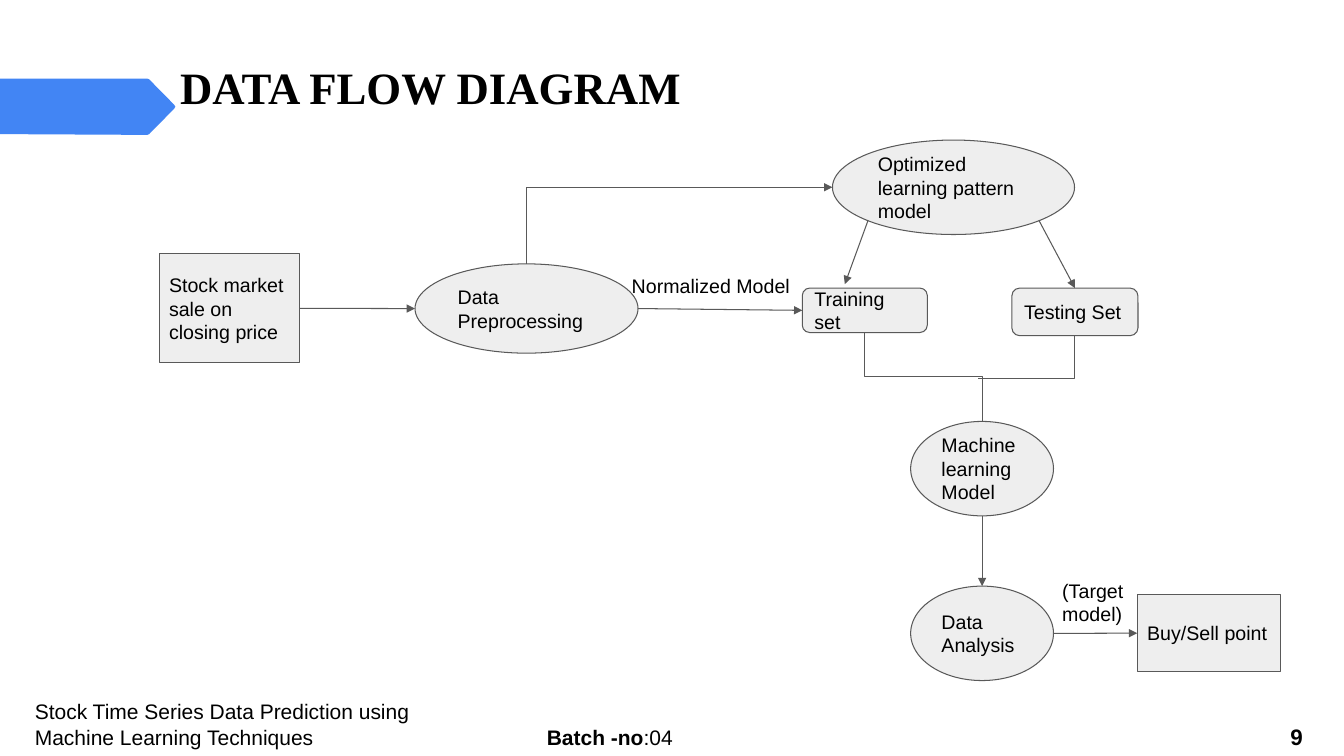
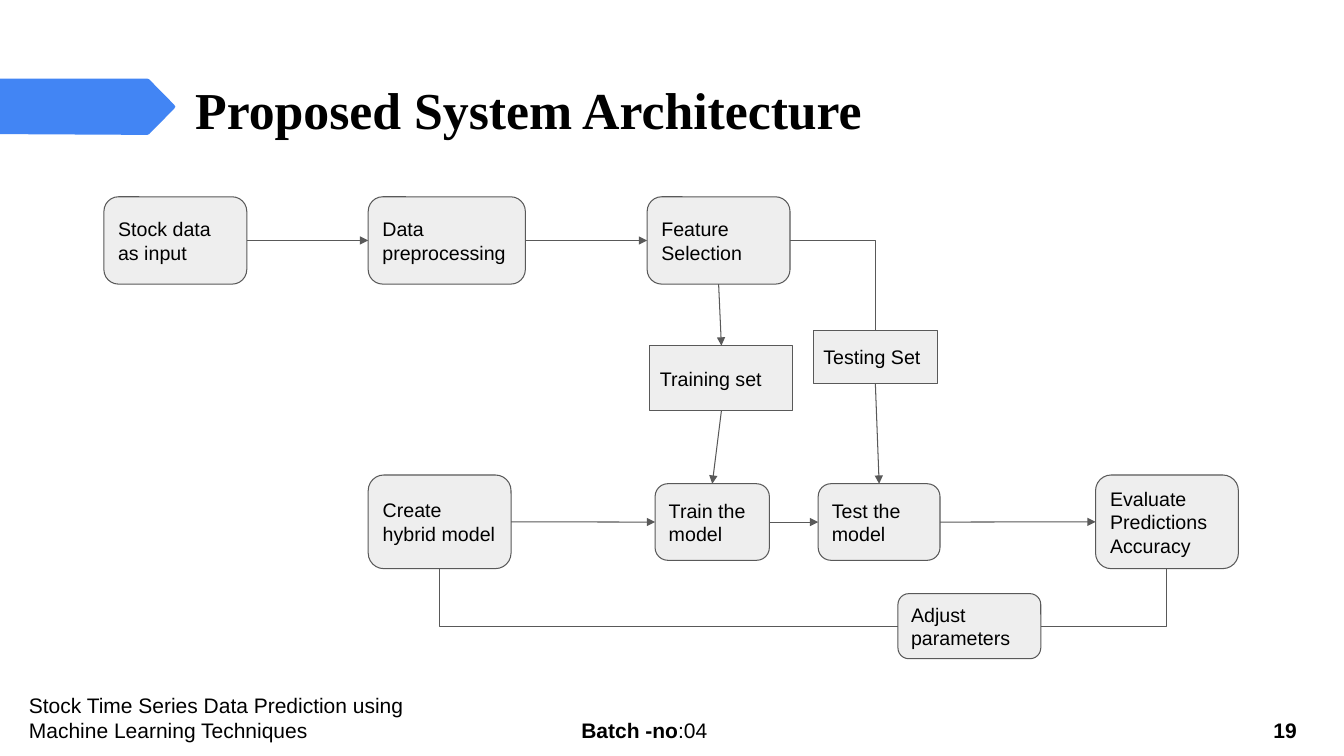
from lxml.etree import SubElement
from pptx import Presentation
from pptx.dml.color import RGBColor
from pptx.enum.shapes import MSO_CONNECTOR, MSO_SHAPE
from pptx.enum.text import MSO_ANCHOR, MSO_AUTO_SIZE, PP_ALIGN
from pptx.oxml.ns import qn
from pptx.util import Cm, Pt

BLACK = RGBColor(0x00, 0x00, 0x00)
BLUE = RGBColor(0x42, 0x85, 0xF4)
LIGHT_GREY = RGBColor(0xEE, 0xEE, 0xEE)
DARK_GREY = RGBColor(0x59, 0x59, 0x59)

RECT, ROUND, OVAL = MSO_SHAPE.RECTANGLE, MSO_SHAPE.ROUNDED_RECTANGLE, MSO_SHAPE.OVAL
STRAIGHT, CORNER, STEP = "line", "bentConnector2", "bentConnector3"
INSET = Cm(0.25)
BAND = [(0, 1.98), (3.71, 1.98), (3.76, 2), (4.39, 2.64), (4.42, 2.69),
        (4.39, 2.74), (3.76, 3.38), (3.71, 3.4), (0, 3.38)]

DIAGONAL = 0.5 ** 0.5 / 2
SITES = {
    "top": (0.5, 0),
    "top left": (0.5 - DIAGONAL, 0.5 - DIAGONAL),
    "left": (0, 0.5),
    "bottom left": (0.5 - DIAGONAL, 0.5 + DIAGONAL),
    "bottom": (0.5, 1),
    "bottom right": (0.5 + DIAGONAL, 0.5 + DIAGONAL),
    "right": (1, 0.5),
}

BODY_FONT = {"name": "Arial", "size": Pt(14), "bold": False}
TITLE_FONT = {"name": "Times New Roman", "bold": True}
FRAME = {"word_wrap": True, "auto_size": MSO_AUTO_SIZE.NONE,
         "margin_left": INSET, "margin_right": INSET,
         "margin_top": INSET, "margin_bottom": INSET}


def apply(target, formats):
    """Set each attribute of the target from the format values."""
    for name, value in formats.items():
        setattr(target, name, value)


def set_font(font, **changes):
    """Give a font the body style with the given changes."""
    apply(font, BODY_FONT | changes)
    font.color.rgb = BLACK


def write(shape, text, anchor):
    """Put left-aligned body text in a shape or text box."""
    frame = shape.text_frame
    apply(frame, FRAME | {"vertical_anchor": anchor})
    para = frame.paragraphs[0]
    para.alignment = PP_ALIGN.LEFT
    span = para.add_run()
    span.text = text
    set_font(span.font)


def add_node(page, kind, text, left, top, width, height):
    """Add a grey outlined box of the diagram."""
    box = page.shapes.add_shape(kind, Cm(left), Cm(top), Cm(width), Cm(height))
    box.shadow.inherit = False
    box.fill.solid()
    box.fill.fore_color.rgb = LIGHT_GREY
    box.line.color.rgb = DARK_GREY
    box.line.width = Pt(0.75)
    write(box, text, MSO_ANCHOR.MIDDLE)
    return box


def add_label(page, text, left, top, width, height):
    """Add a free label beside an arrow."""
    box = page.shapes.add_textbox(Cm(left), Cm(top), Cm(width), Cm(height))
    write(box, text, MSO_ANCHOR.TOP)


def locate(anchor):
    """Return the point of a (box, side) or (None, point) anchor."""
    box, place = anchor
    if box is None:
        return Cm(place[0]), Cm(place[1])
    across, down = SITES[place]
    return box.left + int(box.width * across), box.top + int(box.height * down)


def glue(connector, tag, anchor):
    """Attach one end of a connector to its box."""
    box, side = anchor
    if box is None:
        return
    index = list(SITES).index(side)
    if box.auto_shape_type != OVAL:
        index //= 2
    holder = connector._element.nvCxnSpPr.cNvCxnSpPr
    SubElement(holder, qn(tag), id=str(box.shape_id), idx=str(index))


def link(page, begin, end, arrow="a:tailEnd", route=STRAIGHT):
    """Connect two anchors; a corner runs across first, a step down first."""
    (x1, y1), (x2, y2) = locate(begin), locate(end)
    if route == STEP:
        middle_x, middle_y = (x1 + x2) // 2, (y1 + y2) // 2
        half_x, half_y = (x2 - x1) // 2, (y2 - y1) // 2
        x1, x2 = middle_x - half_y, middle_x + half_y
        y1, y2 = middle_y + half_x, middle_y - half_x
    kind = MSO_CONNECTOR.STRAIGHT if route == STRAIGHT else MSO_CONNECTOR.ELBOW
    connector = page.shapes.add_connector(kind, x1, y1, x2, y2)
    connector.line.color.rgb = DARK_GREY
    connector.line.width = Pt(0.75)
    properties = connector._element.spPr
    properties.find(qn("a:prstGeom")).set("prst", route)
    if route == STEP:
        properties.find(qn("a:xfrm")).set("rot", "5400000")
    if arrow:
        SubElement(properties.find(qn("a:ln")), qn(arrow), type="triangle")
    SubElement(properties, qn("a:effectLst"))
    glue(connector, "a:stCxn", begin)
    glue(connector, "a:endCxn", end)


def add_band(page):
    """Draw the blue pointer at the left edge."""
    points = [(Cm(x), Cm(y)) for x, y in BAND]
    builder = page.shapes.build_freeform(*points[0], scale=1.0)
    builder.add_line_segments(points[1:], close=True)
    band = builder.convert_to_shape()
    band.shadow.inherit = False
    band.fill.solid()
    band.fill.fore_color.rgb = BLUE
    band.line.fill.background()


def add_page(deck, text, size, left, top, width, height):
    """Add a slide with the band and its title."""
    page = deck.slides.add_slide(deck.slide_layouts[5])
    add_band(page)
    title = page.shapes.title
    apply(title, {"left": Cm(left), "top": Cm(top), "width": Cm(width), "height": Cm(height)})
    title.text = text
    apply(title.text_frame, FRAME | {"vertical_anchor": MSO_ANCHOR.MIDDLE,
                                     "margin_top": Cm(0.13), "margin_bottom": Cm(0.13)})
    para = title.text_frame.paragraphs[0]
    para.alignment = PP_ALIGN.LEFT
    set_font(para.runs[0].font, size=Pt(size), **TITLE_FONT)
    return page


def add_footer(page, number, size, left, top, batch_tab):
    """Add the project name, batch and page number on tab stops."""
    box = page.shapes.add_textbox(Cm(left), Cm(top), Cm(32.6), Cm(1.8))
    frame = box.text_frame
    apply(frame, FRAME)
    lines = [
        [("Stock Time Series Data Prediction using", {})],
        [("Machine Learning Techniques\t", {}), ("Batch -no", {"bold": True}),
         (":04\t", {}), (number, {"bold": True, "size": Pt(size)})],
    ]
    for para, spans in zip([frame.paragraphs[0], frame.add_paragraph()], lines):
        stops = SubElement(para._p.get_or_add_pPr(), qn("a:tabLst"))
        for position, align in [(batch_tab, "l"), (31.95, "r")]:
            SubElement(stops, qn("a:tab"), pos=str(Cm(position)), algn=align)
        for text, changes in spans:
            span = para.add_run()
            span.text = text
            set_font(span.font, **({"size": Pt(15)} | changes))


def add_data_flow(deck):
    """Build the data flow diagram slide."""
    page = add_page(deck, "DATA FLOW DIAGRAM", 32, 4.29, 1.32, 27.2, 1.7)
    market = add_node(page, RECT, "Stock market sale on closing price", 4.01, 6.4, 3.55, 2.74)
    cleaning = add_node(page, OVAL, "Data Preprocessing", 10.46, 6.65, 5.62, 2.25)
    pattern = add_node(page, OVAL, "Optimized learning pattern model", 20.98, 3.53, 6.1, 2.38)
    training = add_node(page, ROUND, "Training set", 20.22, 7.26, 3.15, 1.12)
    testing = add_node(page, ROUND, "Testing Set", 25.5, 7.26, 3.18, 1.2)
    learning = add_node(page, OVAL, "Machine learning Model", 22.95, 10.62, 3.6, 2.38)
    analysis = add_node(page, OVAL, "Data Analysis", 22.95, 14.77, 3.6, 2.38)
    decision = add_node(page, RECT, "Buy/Sell point", 28.66, 14.99, 3.6, 1.93)
    add_label(page, "Normalized Model", 15.67, 6.65, 6.1, 1.12)
    add_label(page, "(Target model)", 26.52, 14.33, 2.9, 1.7)
    for begin, end in [
        ((market, "right"), (cleaning, "left")),
        ((cleaning, "right"), (training, "left")),
        ((pattern, "bottom left"), (None, (21.29, 7.16))),
        ((pattern, "bottom right"), (testing, "top")),
        ((learning, "bottom"), (analysis, "top")),
        ((analysis, "right"), (decision, "left")),
    ]:
        link(page, begin, end)
    link(page, (pattern, "left"), (cleaning, "top"), "a:headEnd", CORNER)
    link(page, (training, "bottom"), (learning, "top"), None, STEP)
    link(page, (None, (24.66, 9.55)), (testing, "bottom"), None, CORNER)
    add_footer(page, "9", 16, 0.63, 17.35, 12.9)


def add_architecture(deck):
    """Build the system architecture slide."""
    page = add_page(deck, "Proposed System Architecture", 37, 4.67, 1.65, 27.28, 2.18)
    source = add_node(page, ROUND, "Stock data as input", 2.62, 4.96, 3.6, 2.2)
    cleaning = add_node(page, ROUND, "Data preprocessing", 9.28, 4.96, 3.96, 2.2)
    features = add_node(page, ROUND, "Feature Selection", 16.31, 4.96, 3.6, 2.2)
    training = add_node(page, RECT, "Training set", 16.38, 8.71, 3.6, 1.64)
    testing = add_node(page, RECT, "Testing Set", 20.5, 8.33, 3.12, 1.34)
    train = add_node(page, ROUND, "Train the model", 16.51, 12.19, 2.88, 1.93)
    test = add_node(page, ROUND, "Test the model", 20.62, 12.19, 3.07, 1.93)
    hybrid = add_node(page, ROUND, "Create hybrid model", 9.28, 11.97, 3.6, 2.36)
    evaluate = add_node(page, ROUND, "Evaluate Predictions Accuracy", 27.61, 11.97, 3.6, 2.36)
    adjust = add_node(page, ROUND, "Adjust parameters", 22.63, 14.96, 3.6, 1.64)
    for chain, leave, arrive in [
        ((source, cleaning, features), "right", "left"),
        ((hybrid, train, test, evaluate), "right", "left"),
        ((features, training, train), "bottom", "top"),
        ((testing, test), "bottom", "top"),
    ]:
        for begin, end in zip(chain, chain[1:]):
            link(page, (begin, leave), (end, arrive))
    for begin, end in [
        ((features, "right"), (testing, "top")),
        ((adjust, "left"), (hybrid, "bottom")),
        ((adjust, "right"), (evaluate, "bottom")),
    ]:
        link(page, begin, end, None, CORNER)
    add_footer(page, "19", 15, 0.48, 17.2, 13.92)


def main():
    """Build and save the deck."""
    deck = Presentation()
    apply(deck, {"slide_width": Cm(33.87), "slide_height": Cm(19.05)})
    add_data_flow(deck)
    add_architecture(deck)
    deck.save("out.pptx")


if __name__ == "__main__":
    main()
